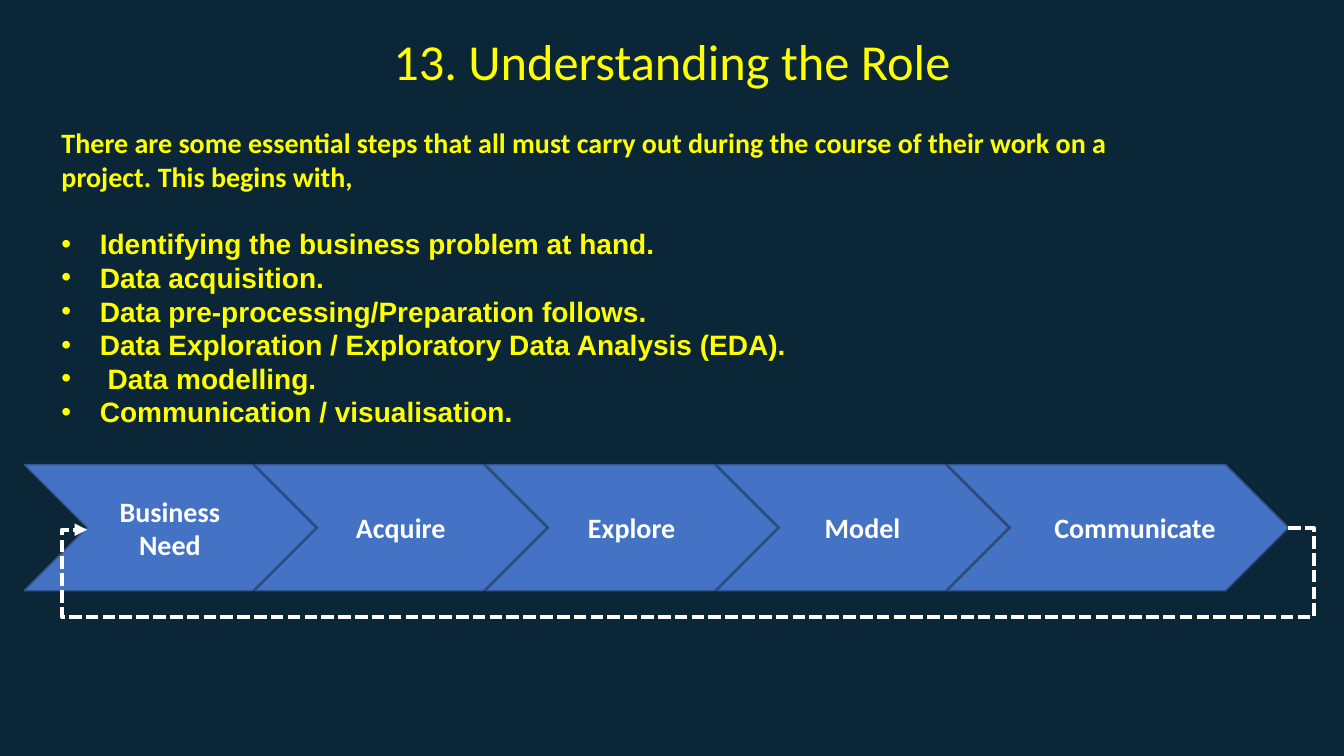
import pptx
import pptx.util
import pptx.oxml
import pptx.oxml.ns
import pptx.dml.color
import pptx.enum.dml
import pptx.enum.shapes
import pptx.enum.text

TITLE = "13. Understanding the Role"
INTRO = ("There are some essential steps that all must carry out during the "
         "course of their work on a project. This begins with,")
STEPS = [
    "Identifying the business problem at hand.",
    "Data acquisition.",
    "Data pre-processing/Preparation follows.",
    "Data Exploration / Exploratory Data Analysis (EDA).",
    " Data modelling.",
    "Communication / visualisation.",
]
STAGES = [["Business", "Need"], ["Acquire"], ["Explore"], ["Model"], ["Communicate"]]
NAVY, YELLOW, WHITE, BLUE, EDGE = "0B2637", "FFFF00", "FFFFFF", "4472C4", "325491"
WIDE, HIGH = 13.33, 7.5
LEFT, TOP, PITCH, LONG, LAST, TALL = 0.24, 4.61, 2.29, 2.89, 3.38, 1.25
OUT, DROP, RISE = 0.25, 0.88, 0.02

Inches, Pt = pptx.util.Inches, pptx.util.Pt
ALIGN = pptx.enum.text.PP_ALIGN
KIND = pptx.enum.shapes


def paint(form, color):
    """Give a fill a solid colour."""
    form.solid()
    form.fore_color.rgb = pptx.dml.color.RGBColor.from_string(color)


def node(tag, inner="", **attrs):
    """Make a drawing element."""
    pairs = "".join(f' {key}="{val}"' for key, val in attrs.items())
    space = pptx.oxml.ns.nsdecls("a")
    return pptx.oxml.parse_xml(f"<a:{tag} {space}{pairs}>{inner}</a:{tag}>")


def write(para, text, size, color, bold=True, face="Calibri"):
    """Add one styled run."""
    run = para.add_run()
    run.text = text
    run.font.size, run.font.bold = Pt(size), bold
    paint(run.font.fill, color)
    run.font.name = face
    return run


def box(slide, place, pad):
    """Add a wrapping text box."""
    frame = slide.shapes.add_textbox(*map(Inches, place)).text_frame
    frame.word_wrap = True
    frame.margin_left = frame.margin_right = Inches(pad)
    frame.margin_top = frame.margin_bottom = Inches(0.05)
    return frame


def head(slide):
    """Add the shadowed title."""
    para = box(slide, (3.52, 0.25, 6.29, 0.7), 0.1).paragraphs[0]
    para.alignment = ALIGN.CENTER
    run = write(para, TITLE, 36, YELLOW, False)
    shade = ('<a:outerShdw blurRad="38100" dist="38100" dir="2700000" algn="tl">'
             '<a:srgbClr val="000000"><a:alpha val="43000"/></a:srgbClr></a:outerShdw>')
    fill = run.font._element.find(pptx.oxml.ns.qn("a:solidFill"))
    fill.addnext(node("effectLst", shade))


def body(slide):
    """Add the intro and the bulleted steps."""
    frame = box(slide, (0.56, 1.2, 10.69, 3.22), 0.05)
    write(frame.paragraphs[0], INTRO, 20, YELLOW)
    for rank, step in enumerate(STEPS):
        para = frame.add_paragraph()
        props = para._p.get_or_add_pPr()
        dent = Inches(0.38)
        props.set("marL", str(dent))
        props.set("indent", str(-dent))
        props.append(node("buFont", typeface="Arial"))
        props.append(node("buChar", char="•"))
        para.line_spacing = Pt(24)
        para.space_before = Pt(0 if rank else 24)
        write(para, step, 20, YELLOW, face="Arial")


def chain(slide):
    """Add the chevrons, the last one at the back."""
    for rank, words in reversed(list(enumerate(STAGES))):
        end = rank == len(STAGES) - 1
        place = (LEFT + rank * PITCH, TOP, LAST if end else LONG, TALL)
        shape = slide.shapes.add_shape(KIND.MSO_SHAPE.CHEVRON, *map(Inches, place))
        shape.shadow.inherit = False
        paint(shape.fill, BLUE)
        paint(shape.line.fill, EDGE)
        shape.line.width = Pt(1)
        frame = shape.text_frame
        frame.vertical_anchor = pptx.enum.text.MSO_ANCHOR.MIDDLE
        for line, word in enumerate(words):
            para = frame.add_paragraph() if line else frame.paragraphs[0]
            para.alignment = ALIGN.RIGHT if end else ALIGN.CENTER
            write(para, word, 20, WHITE)


def loop(slide):
    """Add the dashed arrow back to the first stage."""
    start = LEFT + (len(STAGES) - 1) * PITCH + LAST
    goal = LEFT + TALL / 2
    mid = TOP + TALL / 2
    ends = map(Inches, (start, mid, goal, mid + RISE))
    link = slide.shapes.add_connector(KIND.MSO_CONNECTOR.ELBOW, *ends)
    paint(link.line.fill, WHITE)
    link.line.width = Pt(3)
    link.line.dash_style = pptx.enum.dml.MSO_LINE.SQUARE_DOT
    link.line._ln.append(node("tailEnd", type="triangle"))
    props = link._element.spPr
    props.append(node("effectLst"))
    geom = props.find(pptx.oxml.ns.qn("a:prstGeom"))
    geom.set("prst", "bentConnector5")
    span = OUT / (start - goal)
    guides = geom.find(pptx.oxml.ns.qn("a:avLst"))
    for rank, share in enumerate((-span, DROP / RISE, 1 + span), 1):
        guides.append(node("gd", name=f"adj{rank}", fmla=f"val {round(share * 100000)}"))


def main():
    """Build the slide."""
    deck = pptx.Presentation()
    deck.slide_width, deck.slide_height = Inches(WIDE), Inches(HIGH)
    slide = deck.slides.add_slide(deck.slide_layouts[6])
    paint(slide.background.fill, NAVY)
    head(slide)
    body(slide)
    chain(slide)
    loop(slide)
    deck.save("out.pptx")


if __name__ == "__main__":
    main()
